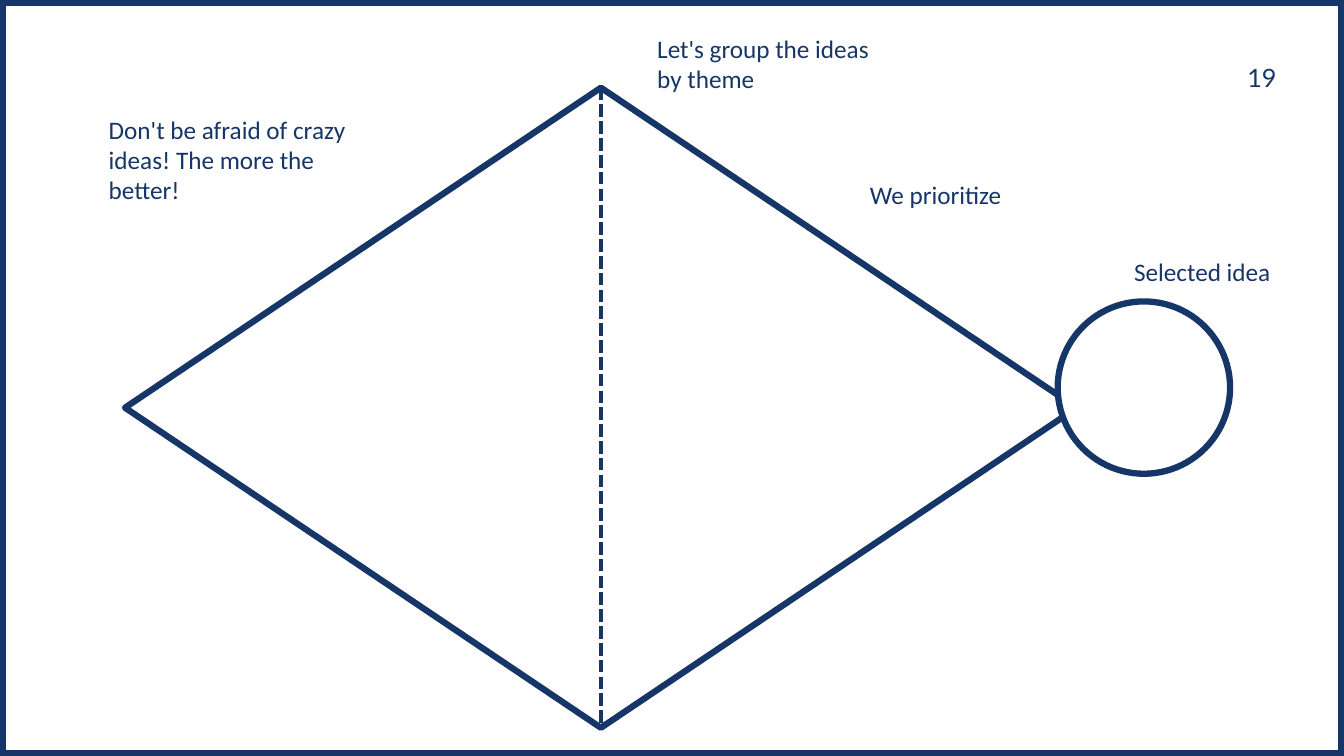
from lxml import etree
from pptx import Presentation
from pptx import util as u
from pptx.dml.color import RGBColor
from pptx.enum import dml, shapes, text
from pptx.oxml.ns import qn

NAVY = RGBColor(0x17, 0x36, 0x68)
WHITE = RGBColor(0xFF, 0xFF, 0xFF)
KIND = shapes.MSO_SHAPE
ALIGN = text.PP_ALIGN


class Board:
    def __init__(self, slide, ink=NAVY, font="Calibri", size=18):
        self.slide = slide
        self.ink = ink
        self.font = font
        self.size = size

    def shape(self, kind, box, width, fill=None):
        item = self.slide.shapes.add_shape(kind, *map(u.Inches, box))
        item.shadow.inherit = False
        if fill is None:
            item.fill.background()
        else:
            item.fill.solid()
            item.fill.fore_color.rgb = fill
        item.line.color.rgb = self.ink
        item.line.width = u.Pt(width)
        return item

    def split(self, shape, width):
        """Draw a dashed line from the top of a shape to its bottom."""
        mid = shape.left + shape.width // 2
        line = self.slide.shapes.add_connector(
            shapes.MSO_CONNECTOR.STRAIGHT,
            mid, shape.top, mid, shape.top + shape.height)
        line.begin_connect(shape, 0)
        line.end_connect(shape, 2)
        line.line.color.rgb = self.ink
        line.line.width = u.Pt(width)
        line.line.dash_style = dml.MSO_LINE.SQUARE_DOT
        etree.SubElement(line._element.spPr, qn("a:effectLst"))

    def label(self, words, box, align=ALIGN.LEFT, font=None,
              anchor=text.MSO_ANCHOR.TOP):
        frame = self.slide.shapes.add_textbox(*map(u.Inches, box)).text_frame
        frame.word_wrap = True
        frame.vertical_anchor = anchor
        para = frame.paragraphs[0]
        para.alignment = align
        run = para.add_run()
        run.text = words
        run.font.name = font or self.font
        run.font.size = u.Pt(self.size)
        run.font.color.rgb = self.ink


def main():
    deck = Presentation()
    deck.slide_width = u.Inches(13.33)
    deck.slide_height = u.Inches(7.5)
    slide = deck.slides.add_slide(deck.slide_layouts[6])
    slide.background.fill.solid()
    slide.background.fill.fore_color.rgb = WHITE
    board = Board(slide)

    board.shape(KIND.RECTANGLE, (0, 0, 13.33, 7.5), 8)
    board.label("19", (9.76, 0.57, 3, 0.4), ALIGN.RIGHT, "Lato",
                text.MSO_ANCHOR.MIDDLE)

    diamond = board.shape(KIND.FLOWCHART_DECISION, (1.24, 0.87, 9.44, 6.35), 4.5)
    board.split(diamond, 3)
    board.shape(KIND.FLOWCHART_CONNECTOR, (10.49, 2.99, 1.71, 1.71), 4.5, WHITE)

    board.label("Don't be afraid of crazy ideas! The more the better!",
                (0.98, 1.08, 2.59, 1.01))
    board.label("Let's group the ideas by theme", (6.42, 0.28, 2.57, 0.71))
    board.label("We prioritize", (8.53, 1.73, 3.43, 0.4))
    board.label("Selected idea", (10.81, 2.49, 2.23, 0.4), ALIGN.CENTER)

    deck.save("out.pptx")


if __name__ == "__main__":
    main()
